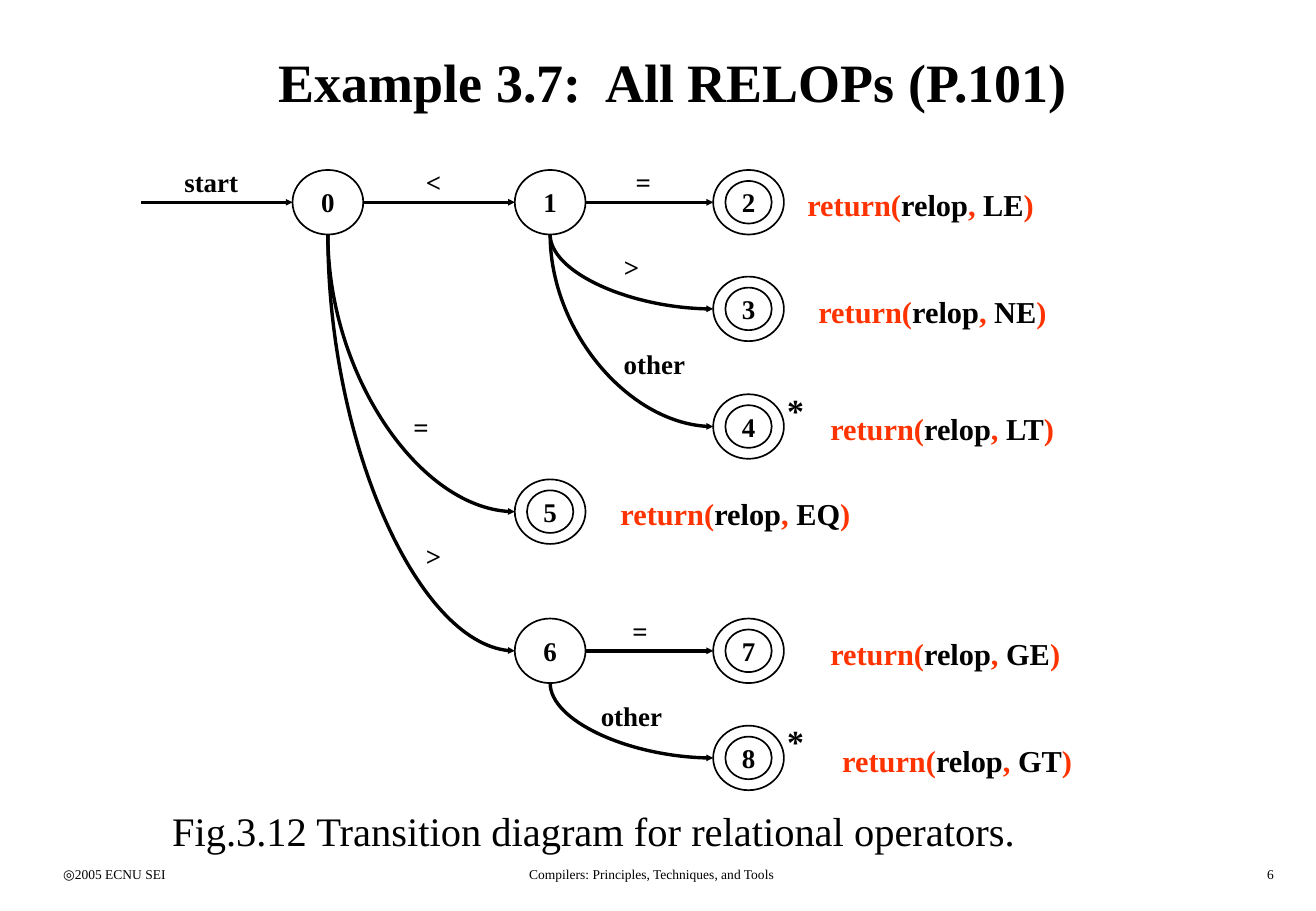
from lxml.etree import SubElement
from pptx import Presentation
from pptx.dml.color import RGBColor
from pptx.enum.shapes import MSO_CONNECTOR as Link, MSO_SHAPE as Shape
from pptx.enum.text import MSO_ANCHOR as Anchor, PP_ALIGN as Align
from pptx.oxml.ns import qn
from pptx.util import Cm, Pt

BLACK, RED = "000000", "FF3300"

# Centres of the states, in cm
COLS = [6.86, 11.51, 15.66]
ROWS = [4.23, 6.46, 8.92, 10.7, 13.61, 15.85]
WIDE, HIGH = 1.48, 1.35

# State: column, row, accepting
STATES = {
    "0": (0, 0, False), "1": (1, 0, False), "2": (2, 0, True),
    "3": (2, 1, True), "4": (2, 2, True), "5": (1, 3, True),
    "6": (1, 4, False), "7": (2, 4, True), "8": (2, 5, True),
}
EDGES = ["01", "12", "13", "14", "05", "06", "67", "68"]

# Label, centre, top
LABELS = [
    ("start", 4.42, 3.33), ("<", 9.07, 3.33), ("=", 13.46, 3.33),
    (">", 13.21, 5.11), ("other", 13.69, 7.14), ("=", 8.81, 8.46),
    (">", 9.07, 11.15), ("=", 13.39, 12.73), ("other", 13.21, 14.5),
]

# Token, left, row
TOKENS = [
    ("LE", 16.64, 0), ("NE", 16.87, 1), ("LT", 17.12, 2),
    ("EQ", 12.73, 3), ("GE", 17.12, 4), ("GT", 17.37, 5),
]

# Text, left, top, width, height, size, alignment
FRAME = [
    ("Fig.3.12 Transition diagram for relational operators.",
     3.35, 16.74, 19, 1.27, 24, Align.LEFT),
    ("◎2005 ECNU SEI", 1.07, 17.98, 5.74, 0.64, 8, Align.LEFT),
    ("Compilers: Principles, Techniques, and Tools",
     8.48, 17.98, 10.31, 0.64, 8, Align.CENTER),
    ("6", 21.16, 17.98, 5.74, 0.64, 8, Align.RIGHT),
]

prs = Presentation()
prs.slide_width, prs.slide_height = Cm(27.53), Cm(19.05)
slide = prs.slides.add_slide(prs.slide_layouts[6])
shapes = slide.shapes


def rgb(code):
    return RGBColor.from_string(code)


def write(shape, parts, size, bold=True, align=Align.CENTER):
    """Fill a shape with one line of (text, colour) parts."""
    frame = shape.text_frame
    frame.word_wrap = True
    line = frame.paragraphs[0]
    line.alignment = align
    for text, code in parts:
        run = line.add_run()
        run.text = text
        font = run.font
        font.name, font.size, font.bold = "Times New Roman", Pt(size), bold
        font.color.rgb = rgb(code)


title = shapes.add_textbox(Cm(1.07), Cm(0.43), Cm(26.03), Cm(2.54))
title.text_frame.vertical_anchor = Anchor.MIDDLE
write(title, [("Example 3.7:  All RELOPs (P.101)", BLACK)], 32)

# States; an accepting one has a second ring
for name, (col, row, final) in STATES.items():
    rings = [(WIDE, HIGH), (0.97, 0.89)] if final else [(WIDE, HIGH)]
    for wide, high in rings:
        ring = shapes.add_shape(
            Shape.OVAL, Cm(COLS[col] - wide / 2), Cm(ROWS[row] - high / 2),
            Cm(wide), Cm(high))
        ring.shadow.inherit = False
        ring.fill.background()
        ring.line.color.rgb = rgb(BLACK)
        ring.line.width = Pt(1)
    frame = ring.text_frame
    frame.margin_left = frame.margin_right = 0
    frame.margin_top = frame.margin_bottom = 0
    frame.vertical_anchor = Anchor.MIDDLE
    write(ring, [(name, BLACK)], 16)

# Arrows: straight along a row, curved down to a lower row
paths = [(2.95, ROWS[0], COLS[0] - WIDE / 2, ROWS[0])]
for start, end in EDGES:
    col, row, _ = STATES[start]
    goal, low, _ = STATES[end]
    tip = COLS[goal] - WIDE / 2
    if row == low:
        paths.append((COLS[col] + WIDE / 2, ROWS[row], tip, ROWS[low]))
    else:
        paths.append((COLS[col], ROWS[row] + HIGH / 2, tip, ROWS[low]))

for left, top, right, foot in paths:
    if top == foot:
        arrow = shapes.add_connector(
            Link.STRAIGHT, Cm(left), Cm(top), Cm(right), Cm(foot))
    else:
        # A quarter turn about the centre makes the curve leave downwards
        midx, midy = (left + right) / 2, (top + foot) / 2
        dx, dy = (right - left) / 2, (foot - top) / 2
        arrow = shapes.add_connector(
            Link.CURVE, Cm(midx + dy), Cm(midy - dx),
            Cm(midx - dy), Cm(midy + dx))
        props = arrow.element.spPr
        props.find(qn("a:xfrm")).set("rot", "16200000")
        props.find(qn("a:prstGeom")).set("prst", "curvedConnector2")
    arrow.line.color.rgb = rgb(BLACK)
    arrow.line.width = Pt(2)
    props = arrow.element.spPr
    SubElement(props.find(qn("a:ln")), qn("a:tailEnd"),
               type="triangle", w="sm", len="sm")
    SubElement(props, qn("a:effectLst"))

for text, mid, top in LABELS:
    box = shapes.add_textbox(Cm(mid - 1.22), Cm(top), Cm(2.44), Cm(0.94))
    write(box, [(text, BLACK)], 16)

for token, left, row in TOKENS:
    box = shapes.add_textbox(Cm(left), Cm(ROWS[row] - 0.46), Cm(8.53), Cm(1.02))
    parts = [("return(", RED), ("relop", BLACK), (", ", RED),
             (token, BLACK), (")", RED)]
    write(box, parts, 18, align=Align.LEFT)

for row in (2, 5):
    star = shapes.add_textbox(Cm(16.15), Cm(ROWS[row] - 0.9), Cm(0.99), Cm(1.12))
    write(star, [("*", BLACK)], 20)

for text, left, top, wide, high, size, align in FRAME:
    box = shapes.add_textbox(Cm(left), Cm(top), Cm(wide), Cm(high))
    write(box, [(text, BLACK)], size, False, align)

prs.save("out.pptx")
